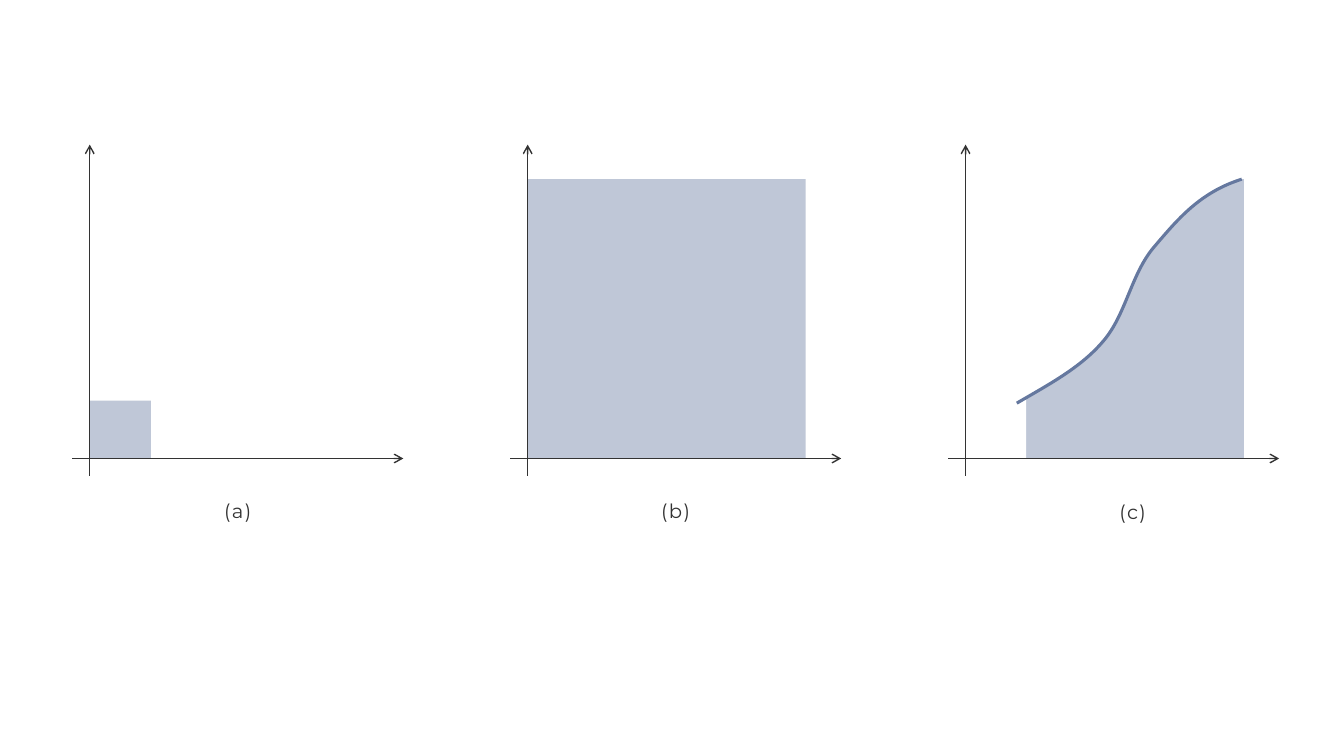
from lxml import etree
from pptx import Presentation
from pptx.dml.color import RGBColor
from pptx.enum.shapes import MSO_CONNECTOR, MSO_SHAPE
from pptx.enum.text import MSO_AUTO_SIZE, PP_ALIGN
from pptx.oxml.ns import qn
from pptx.util import Pt

LINE = MSO_CONNECTOR.STRAIGHT
RECT = MSO_SHAPE.RECTANGLE
CENTER = PP_ALIGN.CENTER
GROW = MSO_AUTO_SIZE.SHAPE_TO_FIT_TEXT

INK, AREA, CURVE, WHITE = "333333", "BFC7D7", "65789F", "FFFFFF"
FONT = "Montserrat"

# Panel layout in points
LEFT, PITCH, BASE = 64.1, 312.8, 327.5
TOP = 128
# Start of the curve, then two handles and an end for each piece
START = (726.3, 288)
PIECES = [
    [(748.5, 275), (771.8, 262.8), (787.7, 244.1)],
    [(804.2, 225.4), (807.8, 195.8), (824.4, 176.4)],
    [(841, 157), (856.8, 137.5), (887, TOP)],
]


def color(text):
    return RGBColor.from_string(text)


def paint(shape, fill):
    shape.shadow.inherit = False
    shape.fill.solid()
    shape.fill.fore_color.rgb = color(fill)
    shape.line.fill.background()


def add_box(slide, x, y, w, h, fill):
    box = slide.shapes.add_shape(RECT, Pt(x), Pt(y), Pt(w), Pt(h))
    paint(box, fill)


def add_arrow(slide, tip, end):
    line = slide.shapes.add_connector(LINE, *map(Pt, tip + end))
    line.line.color.rgb = color(INK)
    line.line.width = Pt(1)
    head = etree.SubElement(line.line._get_or_add_ln(), qn("a:headEnd"))
    head.set("type", "arrow")
    etree.SubElement(line._element.spPr, qn("a:effectLst"))


def add_axes(slide, x):
    add_arrow(slide, (x, 103.3), (x, 339.8))
    add_arrow(slide, (x + 224, BASE), (x - 12.5, BASE))


def add_label(slide, text, mid, y):
    box = slide.shapes.add_textbox(Pt(mid - 48), Pt(y), Pt(96), Pt(24.2))
    frame = box.text_frame
    frame.word_wrap = True
    frame.auto_size = GROW
    frame.text = text
    para = frame.paragraphs[0]
    para.alignment = CENTER
    run = para.runs[0]
    run.font.name = FONT
    run.font.size = Pt(14)
    run.font.color.rgb = color(INK)
    run.font._element.set("spc", "100")


def add_path(slide, rest, close):
    """Draw the curve, then straight lines through the rest."""
    ends = [piece[-1] for piece in PIECES] + rest
    path = slide.shapes.build_freeform(*map(Pt, START))
    path.add_line_segments([(Pt(x), Pt(y)) for x, y in ends], close=close)
    shape = path.convert_to_shape()
    # Turn the first segments into Bezier pieces
    lines = list(shape._element.iter(qn("a:lnTo")))
    for line, piece in zip(lines, PIECES):
        line.tag = qn("a:cubicBezTo")
        line.clear()
        for x, y in piece:
            spot = etree.SubElement(line, qn("a:pt"))
            spot.set("x", str(Pt(x) - shape.left))
            spot.set("y", str(Pt(y) - shape.top))
    return shape


def add_curve(slide):
    curve = add_path(slide, [], False)
    curve.shadow.inherit = False
    curve.fill.background()
    curve.line.color.rgb = color(CURVE)
    curve.line.width = Pt(2.25)


def main():
    deck = Presentation()
    deck.slide_width, deck.slide_height = Pt(960), Pt(540)
    slide = deck.slides.add_slide(deck.slide_layouts[6])
    small, large, bent = [LEFT + PITCH * n for n in range(3)]

    # Square areas with their axes
    add_box(slide, large, TOP, 198.5, BASE - TOP, AREA)
    add_box(slide, small, 286.1, 43.7, BASE - 286.1, AREA)
    add_axes(slide, small)
    add_axes(slide, large)

    # Area under the curve, trimmed at its left edge
    right = 888.4
    corners = [(right, TOP), (right, BASE), (START[0], BASE)]
    paint(add_path(slide, corners, True), AREA)
    add_box(slide, 715, 285.4, 18, BASE - 285.4, WHITE)
    add_axes(slide, bent)
    add_curve(slide)

    # Captions
    add_label(slide, "(a)", 169.8, 352.8)
    add_label(slide, "(c)", 809, 353.5)
    add_label(slide, "(b)", 482.6, 352.8)

    deck.save("out.pptx")


if __name__ == "__main__":
    main()
